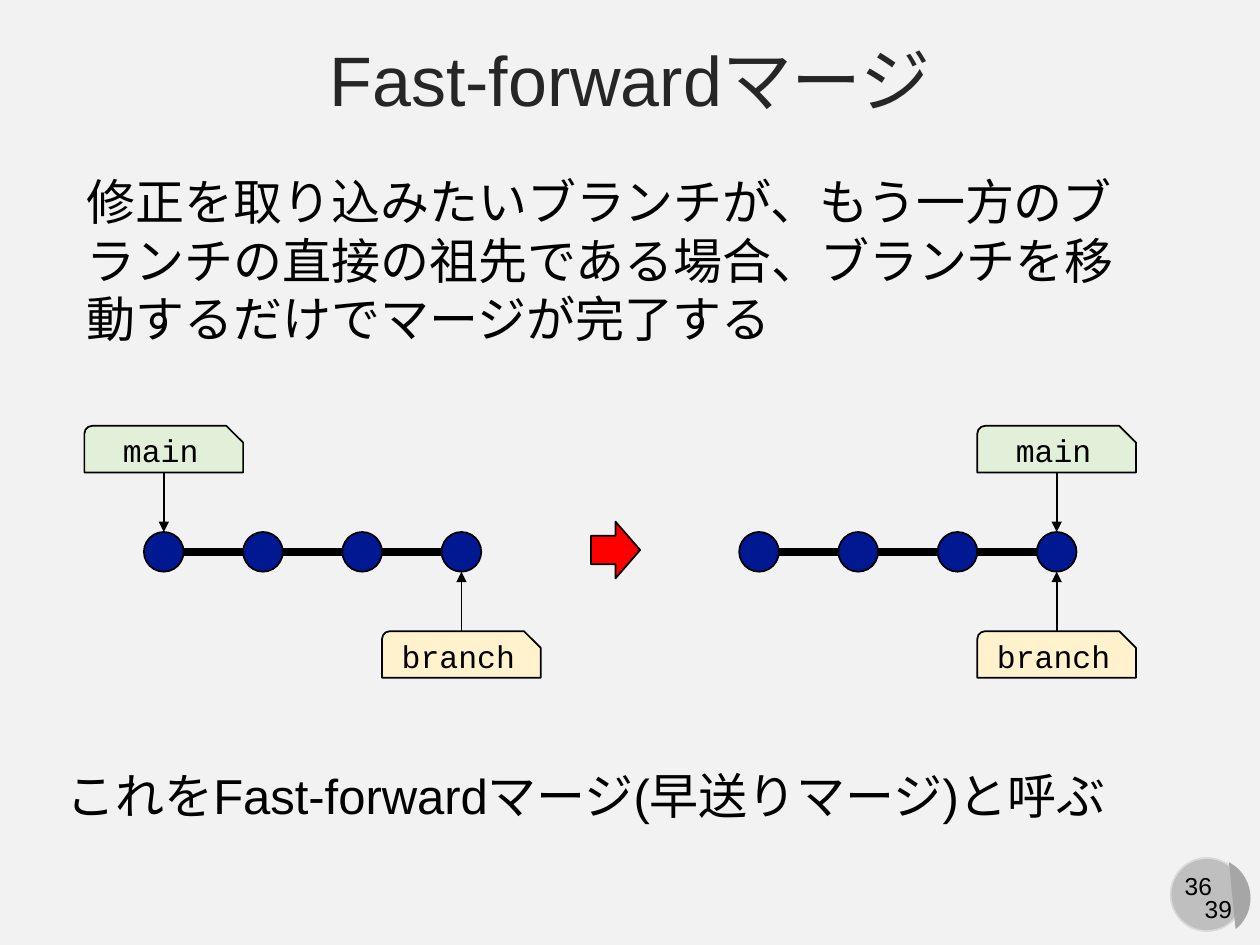
import pptx
import pptx.dml.color
import pptx.enum.shapes
import pptx.enum.text
import pptx.oxml.ns
import pptx.util
from lxml import etree

Pt = pptx.util.Pt
Kind = pptx.enum.shapes.MSO_SHAPE
Align = pptx.enum.text.PP_ALIGN
Anchor = pptx.enum.text.MSO_ANCHOR

WIDE, HIGH = pptx.util.Inches(10), pptx.util.Inches(7.5)
STEP = pptx.util.Cm(2)  # one column of the commit grid
DOT = 0.4 * STEP
TAG_W, TAG_H = 1.6 * STEP, 0.47 * STEP
BLACK, NAVY, GREEN, CREAM = "000000", "011893", "E2F0D9", "FFF2CC"


def tint(code):
    return pptx.dml.color.RGBColor.from_string(code)


def share(x, y, w, h):
    """Turn shares of the slide, in percent, into a box."""
    return [v * side / 100 for v, side in zip((x, y, w, h), (WIDE, HIGH) * 2)]


def whole(*sizes):
    return [round(v) for v in sizes]


def write(shape, text, size, align=Align.LEFT, face="Arial", color=BLACK,
          anchor=Anchor.TOP):
    frame = shape.text_frame
    for key, value in {"word_wrap": True, "vertical_anchor": anchor}.items():
        setattr(frame, key, value)
    para = frame.paragraphs[0]
    para.alignment = align
    run = para.add_run()
    run.text = text
    for key, value in {"name": face, "size": Pt(size)}.items():
        setattr(run.font, key, value)
    run.font.color.rgb = tint(color)


def label(slide, box, text, size, **style):
    write(slide.shapes.add_textbox(*whole(*box)), text, size, **style)


def shape(slide, kind, box, fill, line=BLACK):
    item = slide.shapes.add_shape(kind, *whole(*box))
    item.shadow.inherit = False
    item.fill.solid()
    item.fill.fore_color.rgb = tint(fill)
    if line:
        item.line.color.rgb = tint(line)
        item.line.width = Pt(1)
    else:
        item.line.fill.background()
    return item


def link(slide, start, end, width, arrow=False):
    item = slide.shapes.add_connector(
        pptx.enum.shapes.MSO_CONNECTOR.STRAIGHT, *whole(*start, *end))
    item.line.color.rgb = tint(BLACK)
    item.line.width = Pt(width)
    name = pptx.oxml.ns.qn
    if arrow:
        etree.SubElement(item.line._get_or_add_ln(), name("a:tailEnd"),
                         type="triangle")
    etree.SubElement(item._element.spPr, name("a:effectLst"))


def tag(slide, x, y, side, text, fill):
    """Point a tag at the commit centred on x, y; side is -1 above, 1 below."""
    near = y + side * 0.8 * STEP
    top = min(near, near + side * TAG_H)
    item = shape(slide, Kind.SNIP_ROUND_RECTANGLE,
                 (x - TAG_W / 2, top, TAG_W, TAG_H), fill)
    item.adjustments[0], item.adjustments[1] = 0.17, 0.36
    write(item, text, 18, Align.CENTER, "Courier New", anchor=Anchor.MIDDLE)
    link(slide, (x, near), (x, y + side * DOT / 2), 1, arrow=True)


def history(slide, left, mid, main, branch, count=4):
    """Draw a row of commits, with main and branch at the given columns."""
    spots = [left + i * STEP for i in range(count)]
    for x in spots[:-1]:
        link(slide, (x + DOT / 2, mid), (x + STEP - DOT / 2, mid), 4.5)
    for x in spots:
        shape(slide, Kind.OVAL, (x - DOT / 2, mid - DOT / 2, DOT, DOT), NAVY)
    tag(slide, spots[main], mid, -1, "main", GREEN)
    tag(slide, spots[branch], mid, 1, "branch", CREAM)


def badge(slide, x, y, size, page, total):
    shape(slide, Kind.OVAL, (x, y, size, size), "BFBFBF", "D9D9D9")
    half = shape(slide, Kind.CHORD, (x, y, 1.1 * size, 1.09 * size),
                 "A6A6A6", None)
    half.rotation = 270
    # Angles count in 60000ths of a degree, adjustments in 100000ths
    half.adjustments[0], half.adjustments[1] = 27 * 0.6, 141.42 * 0.6
    for text, dx, dy, w in ((page, 0, 0.09, 0.76), (total, 0.19, 0.41, 0.93)):
        box = (x + dx * size, y + dy * size, w * size, 0.59 * size)
        label(slide, box, text, 14, align=Align.CENTER)


def main():
    deck = pptx.Presentation()
    deck.slide_width, deck.slide_height = WIDE, HIGH
    slide = deck.slides.add_slide(deck.slide_layouts[6])
    slide.background.fill.solid()
    slide.background.fill.fore_color.rgb = tint("F2F2F2")

    badge(slide, 0.929 * WIDE, 0.908 * HIGH, 0.058 * WIDE, "36", "39")
    label(slide, share(0, 2.8, 100, 10.93), "Fast-forwardマージ", 40,
          align=Align.CENTER, color="262626", anchor=Anchor.MIDDLE)
    label(slide, share(5.9, 17.47, 85.8, 20.13),
          "修正を取り込みたいブランチが、もう一方のブランチの直接の祖先である場合、"
          "ブランチを移動するだけでマージが完了する", 28)

    left, mid = 0.13 * WIDE, 0.584 * HIGH
    history(slide, left, mid, main=0, branch=3)
    history(slide, left + 6 * STEP, mid, main=3, branch=3)
    shape(slide, Kind.RIGHT_ARROW, share(46.9, 55.2, 3.9, 6), "FF0000")

    label(slide, share(4.3, 80.4, 85.6, 7.6),
          "これをFast-forwardマージ(早送りマージ)と呼ぶ", 28)
    deck.save("out.pptx")


if __name__ == "__main__":
    main()
